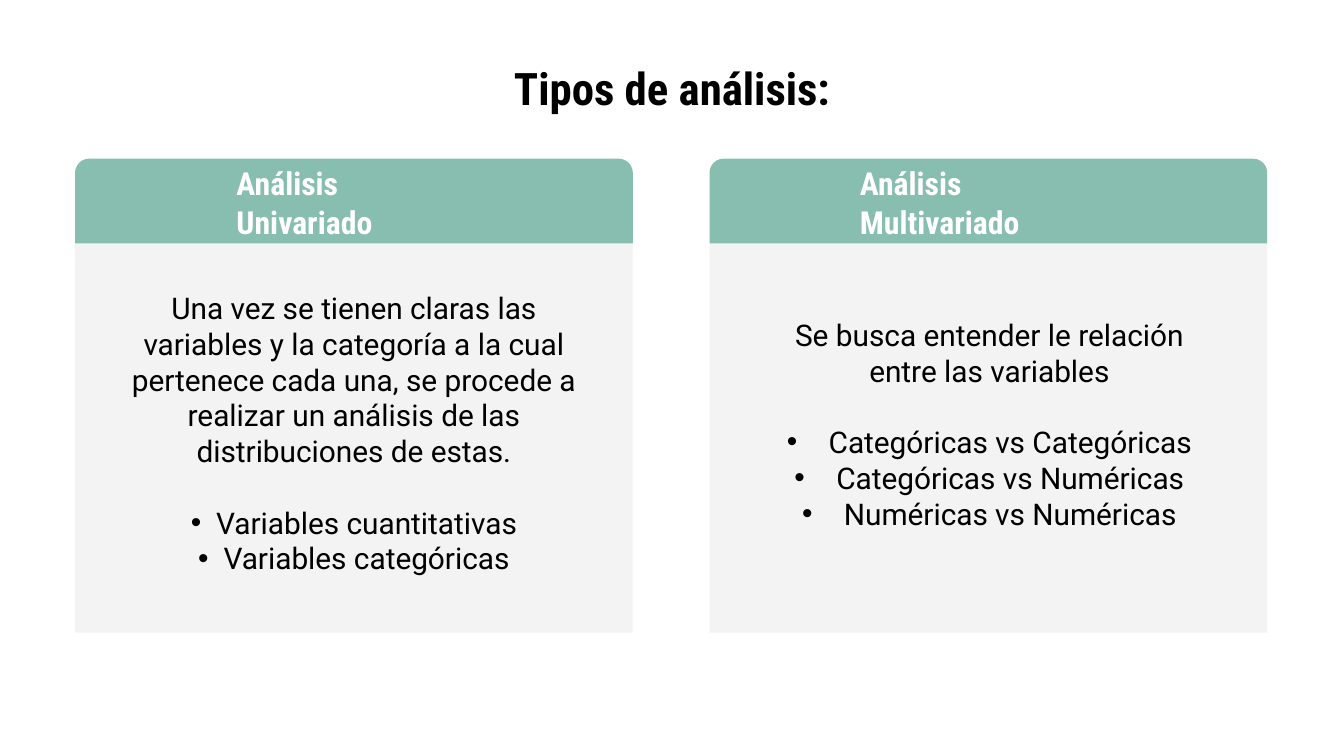
from pptx import Presentation
from pptx.dml.color import RGBColor as RGB
from pptx.enum.shapes import MSO_SHAPE as SHAPE
from pptx.enum.text import MSO_ANCHOR as ANCHOR, PP_ALIGN as ALIGN
from pptx.oxml import parse_xml
from pptx.oxml.ns import nsdecls
from pptx.util import Cm, Pt

BLACK = RGB(0x00, 0x00, 0x00)
WHITE = RGB(0xFF, 0xFF, 0xFF)
GREEN = RGB(0x88, 0xBE, 0xAF)
GRAY = RGB(0xF3, 0xF3, 0xF3)
HEAD_FONT = "Roboto Condensed"
BODY_FONT = "Roboto"
INSET = 0.25
LEFT, STEP, WIDTH = 1.42, 11.99, 10.54
CARDS = [
    {
        "head": "Análisis Univariado",
        "head_box": (4.22, 3.23, 4.95, 1.19),
        "body_box": (2.18, 4.8, 9.02, 6.76),
        "intro": "Una vez se tienen claras las variables y la categoría a la "
                 "cual pertenece cada una, se procede a realizar un análisis "
                 "de las distribuciones de estas.",
        "items": ["Variables cuantitativas", "Variables categóricas"],
        "indent": 0.48,
        "base": INSET,
    },
    {
        "head": "Análisis Multivariado",
        "head_box": (16, 3.23, 5.38, 1.19),
        "body_box": (14.19, 5.36, 9.02, 5.99),
        "intro": "Se busca entender le relación entre las variables",
        "items": ["Categóricas vs Categóricas", "Categóricas vs Numéricas",
                  "Numéricas vs Numéricas"],
        "indent": 0.79,
        "base": INSET + 0.68,
    },
]


def add_block(slide, kind, box, color):
    block = slide.shapes.add_shape(kind, *map(Cm, box))
    block.shadow.inherit = False
    block.fill.solid()
    block.fill.fore_color.rgb = color
    block.line.fill.background()
    return block


def add_frame(slide, box, base=INSET):
    frame = slide.shapes.add_textbox(*map(Cm, box)).text_frame
    frame.word_wrap = True
    frame.vertical_anchor = ANCHOR.MIDDLE
    frame.margin_left = frame.margin_right = frame.margin_top = Cm(INSET)
    frame.margin_bottom = Cm(base)
    return frame


def add_run(para, text, font, size, color, bold=False):
    run = para.add_run()
    run.text = text
    run.font.name = font
    run.font.size = Pt(size)
    run.font.color.rgb = color
    run.font.bold = bold


def add_bullet(para, indent):
    props = para._p.get_or_add_pPr()
    props.set("marL", str(Cm(indent)))
    props.set("indent", str(-Cm(indent)))
    for tag in (
        f'<a:buClr {nsdecls("a")}><a:srgbClr val="{BLACK}"/></a:buClr>',
        f'<a:buFont {nsdecls("a")} typeface="Arial"/>',
        f'<a:buChar {nsdecls("a")} char="•"/>',
    ):
        props.append(parse_xml(tag))


def add_head(slide, box, text, size, color, align):
    para = add_frame(slide, box).paragraphs[0]
    para.alignment = align
    add_run(para, text, HEAD_FONT, size, color, True)


def add_body(slide, card):
    frame = add_frame(slide, card["body_box"], card["base"])
    intro = frame.paragraphs[0]
    intro.alignment = ALIGN.CENTER
    intro.space_after = Pt(19)
    add_run(intro, card["intro"], BODY_FONT, 16, BLACK)
    for item in card["items"]:
        para = frame.add_paragraph()
        para.alignment = ALIGN.CENTER
        add_bullet(para, card["indent"])
        add_run(para, item, BODY_FONT, 16, BLACK)


def add_card(slide, left, card):
    add_block(slide, SHAPE.RECTANGLE, (left, 3.2, WIDTH, 8.76), GRAY)
    add_block(slide, SHAPE.ROUND_2_SAME_RECTANGLE, (left, 3, WIDTH, 1.6), GREEN)
    add_head(slide, card["head_box"], card["head"], 17, WHITE, ALIGN.LEFT)
    add_body(slide, card)


def main():
    deck = Presentation()
    deck.slide_width, deck.slide_height = Cm(25.4), Cm(14.29)
    slide = deck.slides.add_slide(deck.slide_layouts[6])
    add_head(slide, (0.5, 0.86, 24.4, 1.6), "Tipos de análisis:", 24, BLACK,
             ALIGN.CENTER)
    for i, card in enumerate(CARDS):
        add_card(slide, LEFT + i * STEP, card)
    deck.save("out.pptx")


if __name__ == "__main__":
    main()
